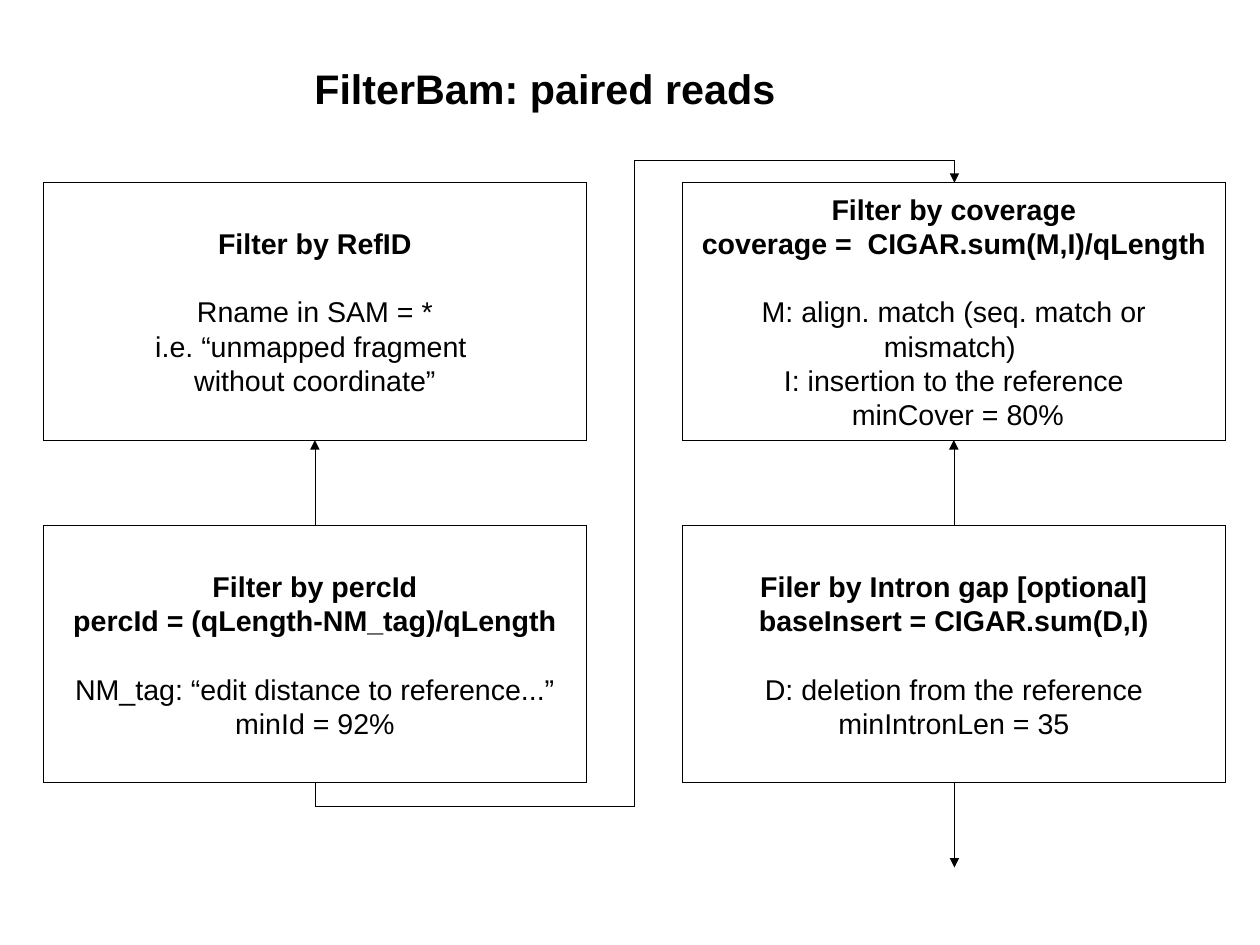
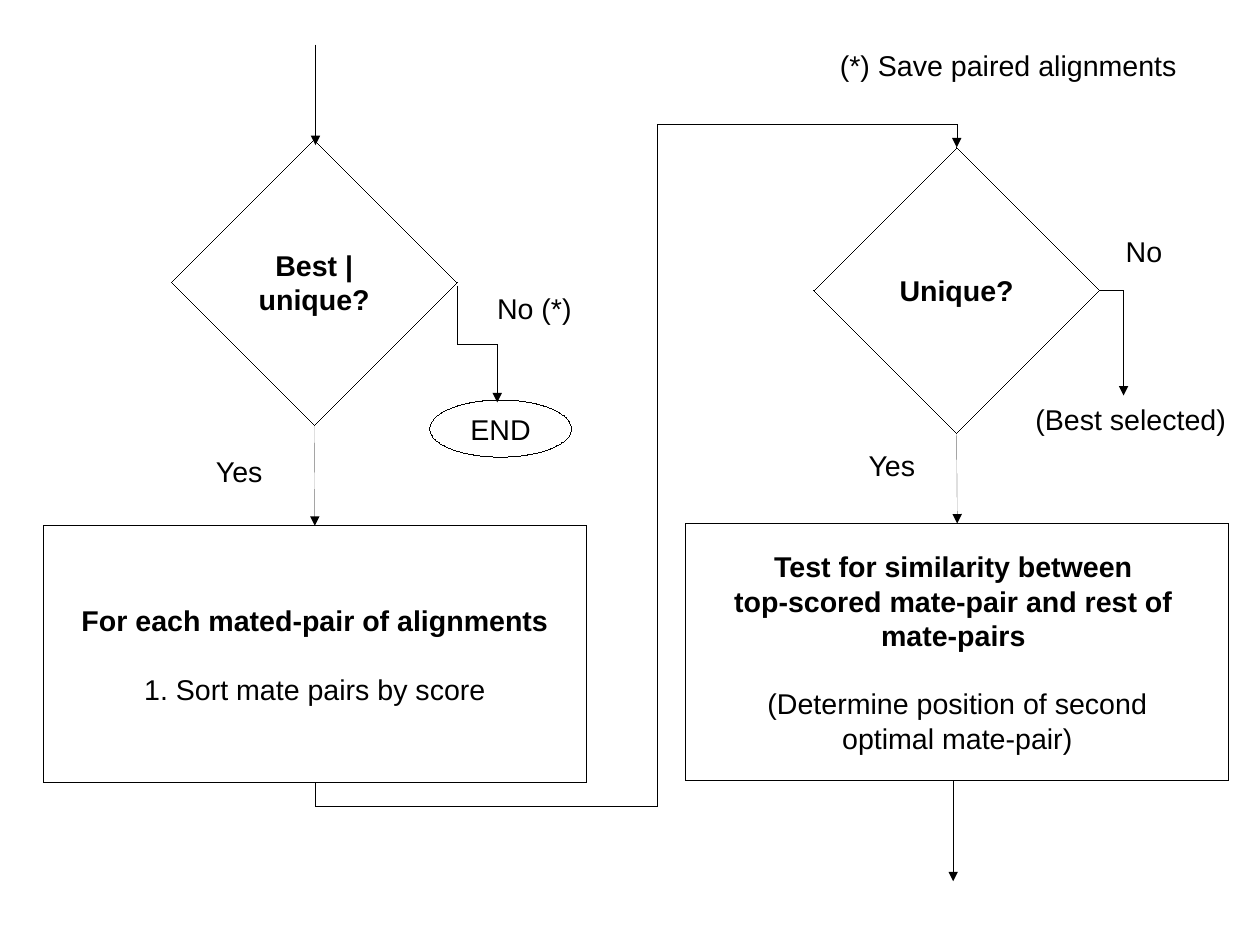
from dataclasses import dataclass

from pptx import Presentation
from pptx.dml.color import RGBColor
from pptx.enum.shapes import MSO_CONNECTOR, MSO_SHAPE
from pptx.enum.text import MSO_ANCHOR, MSO_AUTO_SIZE, PP_ALIGN
from pptx.oxml.ns import qn
from pptx.oxml.xmlchemy import OxmlElement
from pptx.util import Inches, Pt


@dataclass(frozen=True)
class Theme:
    ink: RGBColor = RGBColor(0, 0, 0)
    font: str = "Arial"
    title: float = 26
    body: float = 18
    gap: float = 21.5  # one line of body text
    line: float = 0.01  # hairline


THEME = Theme()
PAGE = (28 / 2.54, 21 / 2.54)  # 28 by 21 cm
TOP, BOTTOM = 0, 2  # connection sites
BOX = (4.75, 2.25)
DIAMOND = (2.5, 2.5)


# Text
def write(frame, text, size=THEME.body, bold=False, align=PP_ALIGN.LEFT, before=0):
    """Add one paragraph, using the first one while it is empty."""
    para = frame.paragraphs[0]
    if para.runs:
        para = frame.add_paragraph()
    para.alignment = align
    para.space_before = Pt(before)
    run = para.add_run()
    run.text = text
    font = run.font
    font.name, font.size, font.bold = THEME.font, Pt(size), bold
    font.color.rgb = THEME.ink


def set_title(slide, text, left, top, width, height):
    title = slide.shapes.title
    title.left, title.top = Inches(left), Inches(top)
    title.width, title.height = Inches(width), Inches(height)
    frame = title.text_frame
    frame.auto_size = MSO_AUTO_SIZE.NONE
    frame.word_wrap = False
    frame.vertical_anchor = MSO_ANCHOR.TOP
    write(frame, text, size=THEME.title, bold=True)


def add_label(slide, text, left, top, width):
    box = slide.shapes.add_textbox(
        Inches(left), Inches(top), Inches(width), Inches(0.38))
    box.text_frame.word_wrap = True
    write(box.text_frame, text)


# Flowchart nodes
def add_node(slide, kind, spot, size, heads=(), notes=()):
    """Outlined shape with bold heads and, one line below, plain notes."""
    node = slide.shapes.add_shape(kind, *map(Inches, spot + size))
    node.shadow.inherit = False
    node.fill.background()
    node.line.color.rgb = THEME.ink
    node.line.width = Pt(THEME.line)
    frame = node.text_frame
    frame.word_wrap = True
    frame.vertical_anchor = MSO_ANCHOR.MIDDLE
    for text in heads:
        write(frame, text, bold=True, align=PP_ALIGN.CENTER)
    for i, text in enumerate(notes):
        gap = THEME.gap if heads and i == 0 else 0
        write(frame, text, align=PP_ALIGN.CENTER, before=gap)
    return node


# Arrows
def style_arrow(line):
    line.line.color.rgb = THEME.ink
    line.line.width = Pt(THEME.line)
    tail = OxmlElement("a:tailEnd")
    tail.set("type", "triangle")
    props = line.element.spPr
    props.find(qn("a:ln")).append(tail)
    props.append(OxmlElement("a:effectLst"))


def add_arrow(slide, start, end):
    line = slide.shapes.add_connector(
        MSO_CONNECTOR.STRAIGHT, *map(Inches, start + end))
    style_arrow(line)
    return line


def join(slide, first, first_site, last, last_site):
    line = add_arrow(slide, (0, 0), (1, 1))
    line.begin_connect(first, first_site)
    line.end_connect(last, last_site)


def add_elbow(slide, start, end, bends=(), down=True):
    """Bent arrow; bends are shares of the way, down starts it vertically."""
    (x1, y1), (x2, y2) = start, end
    if down:  # ends before the quarter turn about the centre
        midx, midy = (x1 + x2) / 2, (y1 + y2) / 2
        dx, dy = (x2 - x1) / 2, (y2 - y1) / 2
        x1, y1, x2, y2 = midx - dy, midy + dx, midx + dy, midy - dx
    line = slide.shapes.add_connector(
        MSO_CONNECTOR.ELBOW, *map(Inches, (x1, y1, x2, y2)))
    props = line.element.spPr
    if down:
        props.find(qn("a:xfrm")).set("rot", "5400000")
    geom = props.find(qn("a:prstGeom"))
    geom.set("prst", f"bentConnector{len(bends) + 2}")
    for i, share in enumerate(bends, 1):
        guide = OxmlElement("a:gd")
        guide.set("name", f"adj{i}")
        guide.set("fmla", f"val {round(share * 100000)}")
        geom.find(qn("a:avLst")).append(guide)
    style_arrow(line)


def add_loop(slide, start, end, lane, out=0.2):
    """Leave below a box, climb at x = lane and enter the next from above."""
    over = out / (end[1] - start[1])
    share = (lane - start[0]) / (end[0] - start[0])
    add_elbow(slide, start, end, (over, share, 1 - over))


# Slides
def build_filters(deck):
    slide = deck.slides.add_slide(deck.slide_layouts[5])
    set_title(slide, "FilterBam: paired reads", 2.65, 0.5, 4.24, 0.5)
    columns = [
        [(["Filter by RefID"],
          ["Rname in SAM = *", "i.e. “unmapped fragment ",
           "without coordinate”"]),
         (["Filter by percId", "percId = (qLength-NM_tag)/qLength"],
          ["NM_tag: “edit distance to reference...”", "minId = 92%"])],
        [(["Filter by coverage", "coverage =  CIGAR.sum(M,I)/qLength"],
          ["M: align. match (seq. match or mismatch) ",
           "I: insertion to the reference", " minCover = 80%"]),
         (["Filer by Intron gap [optional]", "baseInsert = CIGAR.sum(D,I)"],
          ["D: deletion from the reference", "minIntronLen = 35"])],
    ]
    for left, column in zip((0.38, 5.97), columns):
        upper, lower = [
            add_node(slide, MSO_SHAPE.RECTANGLE, (left, top), BOX, *texts)
            for top, texts in zip((1.6, 4.6), column)]
        join(slide, lower, TOP, upper, BOTTOM)
    add_loop(slide, (2.76, 6.85), (8.35, 1.6), 5.55)
    add_arrow(slide, (8.35, 6.85), (8.35, 7.59))


def build_choices(deck):
    slide = deck.slides.add_slide(deck.slide_layouts[6])
    # Left branch
    best = add_node(slide, MSO_SHAPE.DIAMOND, (1.5, 1.22), DIAMOND,
                    ["Best | unique?"])
    pairs = add_node(slide, MSO_SHAPE.RECTANGLE, (0.38, 4.6), BOX,
                     ["For each mated-pair of alignments"],
                     ["1. Sort mate pairs by score"])
    add_node(slide, MSO_SHAPE.OVAL, (3.76, 3.5), (1.24, 0.5), notes=["END"])
    add_arrow(slide, (2.76, 0.39), (2.76, 1.27))
    join(slide, best, BOTTOM, pairs, TOP)
    add_elbow(slide, (4, 2.5), (4.35, 3.52), (0.5,))
    # Right branch
    unique = add_node(slide, MSO_SHAPE.DIAMOND, (7.12, 1.29), DIAMOND,
                      ["Unique?"])
    test = add_node(slide, MSO_SHAPE.RECTANGLE, (6, 4.58), BOX,
                    ["Test for similarity between ",
                     "top-scored mate-pair and rest of ", "mate-pairs "],
                    ["(Determine position of second", "optimal mate-pair)"])
    add_loop(slide, (2.76, 6.85), (8.37, 1.29), 5.75)
    join(slide, unique, BOTTOM, test, TOP)
    add_elbow(slide, (9.62, 2.54), (9.83, 3.46), down=False)
    add_arrow(slide, (8.34, 6.83), (8.34, 7.71))
    # Labels
    for label in (("Yes", 1.79, 3.92, 0.75),
                  ("No (*)", 4.25, 2.5, 1.25),
                  ("Yes", 7.5, 3.87, 0.75),
                  ("No", 9.75, 2, 0.75),
                  ("(Best selected)", 8.96, 3.47, 1.95),
                  ("(*) Save paired alignments", 7.25, 0.37, 3.24)):
        add_label(slide, *label)


def main():
    deck = Presentation()
    deck.slide_width, deck.slide_height = map(Inches, PAGE)
    build_filters(deck)
    build_choices(deck)
    deck.save("out.pptx")


main()
